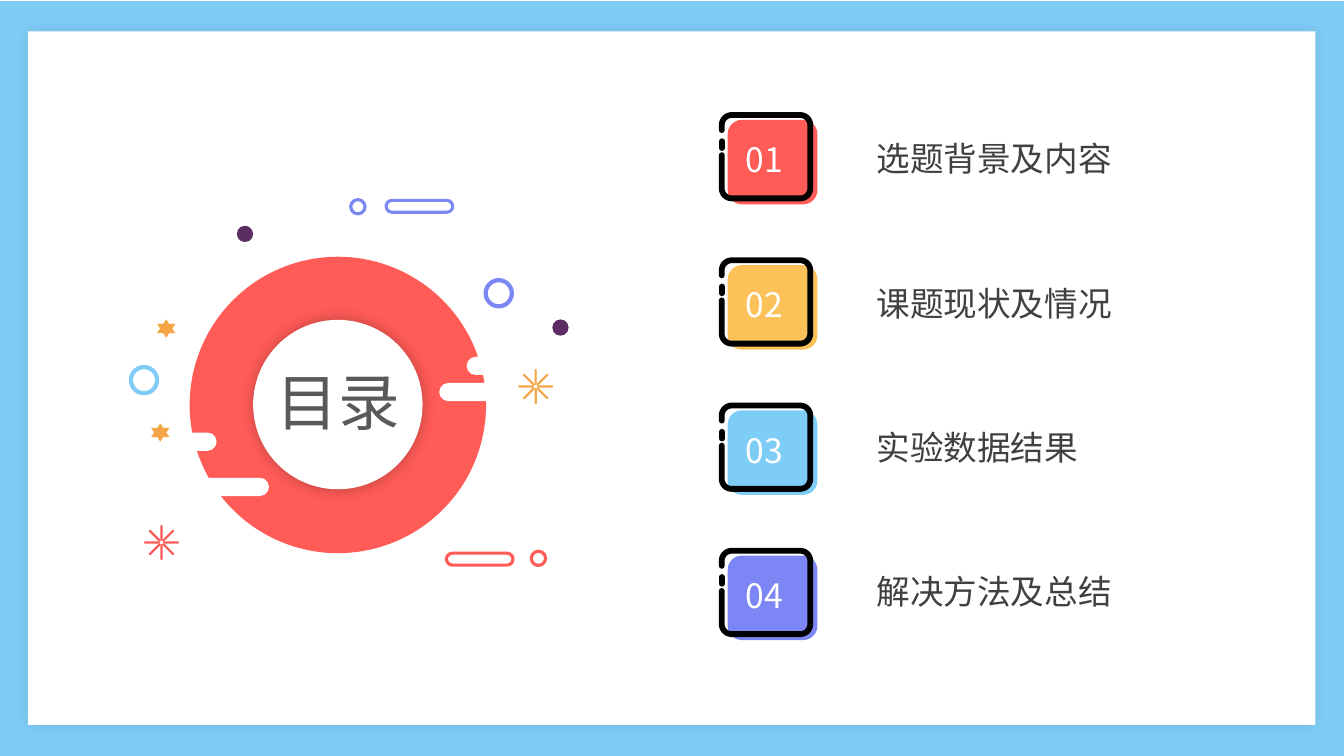
"""Build the contents slide with a ring emblem and four numbered topics."""
import math

import pptx
import pptx.dml.color
import pptx.enum.shapes
import pptx.enum.text
import pptx.oxml
import pptx.oxml.ns
import pptx.util
from lxml import etree

Cm = pptx.util.Cm
Pt = pptx.util.Pt
RGBColor = pptx.dml.color.RGBColor
MSO_SHAPE = pptx.enum.shapes.MSO_SHAPE
PP_ALIGN = pptx.enum.text.PP_ALIGN
qn = pptx.oxml.ns.qn

FONT = "Noto Sans CJK SC"
WHITE = RGBColor(0xFF, 0xFF, 0xFF)
BLACK = RGBColor(0x00, 0x00, 0x00)
SKY = RGBColor(0x7F, 0xCD, 0xF7)
LIGHT_BLUE = RGBColor(0x7E, 0xCD, 0xF7)
RED = RGBColor(0xFF, 0x5B, 0x57)
ORANGE = RGBColor(0xF6, 0xA5, 0x46)
YELLOW = RGBColor(0xFC, 0xC2, 0x59)
VIOLET = RGBColor(0x7B, 0x88, 0xF4)
PERIWINKLE = RGBColor(0x7C, 0x87, 0xF5)
PLUM = RGBColor(0x5C, 0x2D, 0x62)
TITLE_GRAY = RGBColor(0x59, 0x59, 0x59)
LABEL_GRAY = RGBColor(0x40, 0x40, 0x40)


def add_figure(shapes, kind, box, fill=None, line=None, width=0):
    """Add a preset shape; box is left, top, width, height in centimetres."""
    shape = shapes.add_shape(kind, *[Cm(value) for value in box])
    shape.shadow.inherit = False
    if fill is None:
        shape.fill.background()
    else:
        shape.fill.solid()
        shape.fill.fore_color.rgb = fill
    if line is None:
        shape.line.fill.background()
    else:
        shape.line.color.rgb = line
        shape.line.width = Pt(width)
    return shape


def write_text(shape, text, size, color, alignment):
    """Write one run, centred vertically in the shape."""
    frame = shape.text_frame
    frame.word_wrap = True
    frame.auto_size = pptx.enum.text.MSO_AUTO_SIZE.NONE
    frame.vertical_anchor = pptx.enum.text.MSO_ANCHOR.MIDDLE
    paragraph = frame.paragraphs[0]
    paragraph.alignment = alignment
    run = paragraph.add_run()
    run.text = text
    run.font.size = Pt(size)
    run.font.color.rgb = color
    run.font.name = FONT
    etree.SubElement(run._r.get_or_add_rPr(), qn("a:ea"), typeface=FONT)


presentation = pptx.Presentation()
presentation.slide_width = Cm(33.87)
presentation.slide_height = Cm(19.05)
slide = presentation.slides.add_slide(presentation.slide_layouts[5])

add_figure(slide.shapes, MSO_SHAPE.RECTANGLE, (0, 0.03, 33.87, 19.02), SKY)
panel = add_figure(slide.shapes, MSO_SHAPE.RECTANGLE, (0.71, 0.79, 32.44, 17.48), WHITE)

emblem = slide.shapes.add_group_shape().shapes
add_figure(emblem, MSO_SHAPE.OVAL, (4.78, 6.47, 7.47, 7.47), RED)
ring_center = add_figure(emblem, MSO_SHAPE.OVAL, (6.38, 8.06, 4.27, 4.27), WHITE)

for shape, opacity in ((panel, 10), (ring_center, 25)):
    effects = shape._element.spPr.find(qn("a:effectLst"))
    shadow = etree.SubElement(effects, qn("a:outerShdw"), blurRad=str(Pt(10)),
                              dist="0", dir="0", algn="ctr", rotWithShape="0")
    shadow_color = etree.SubElement(shadow, qn("a:srgbClr"), val=str(BLACK))
    etree.SubElement(shadow_color, qn("a:alpha"), val=str(opacity * 1000))

for left, top in ((11.07, 9.65), (11.76, 8.99), (4.62, 12.04), (3.3, 10.9)):
    notch = add_figure(emblem, MSO_SHAPE.ROUNDED_RECTANGLE, (left, top, 2.16, 0.46), WHITE)
    notch.adjustments[0] = 0.5

for left, top, size, color, width in (
        (3.3, 9.25, 0.66, SKY, 3), (12.24, 7.06, 0.66, VIOLET, 3),
        (13.39, 13.89, 0.36, RED, 2.25), (8.84, 5.03, 0.36, VIOLET, 2.25)):
    add_figure(emblem, MSO_SHAPE.OVAL, (left, top, size, size), None, color, width)

for left, top, color in ((11.25, 13.94, RED), (9.73, 5.05, VIOLET)):
    pill = add_figure(emblem, MSO_SHAPE.ROUNDED_RECTANGLE, (left, top, 1.68, 0.3),
                      WHITE, color, 2.25)
    pill.adjustments[0] = 0.5

for left, top in ((3.96, 8.05), (3.81, 10.67)):
    add_figure(emblem, MSO_SHAPE.STAR_6_POINT, (left, top, 0.46, 0.46), ORANGE)

for left, top in ((13.92, 8.05), (5.97, 5.69)):
    add_figure(emblem, MSO_SHAPE.OVAL, (left, top, 0.41, 0.41), PLUM)

for center_x, center_y, color in ((4.07, 13.67, RED), (13.5, 9.74, ORANGE)):
    for angle in range(0, 360, 45):
        ray_x = center_x + 0.24 * math.sin(math.radians(angle))
        ray_y = center_y - 0.24 * math.cos(math.radians(angle))
        ray = add_figure(emblem, MSO_SHAPE.ROUNDED_RECTANGLE,
                         (ray_x - 0.01, ray_y - 0.18, 0.02, 0.36), ORANGE, color, 1)
        ray.adjustments[0] = 0.5
        ray.rotation = angle

title = slide.shapes.title
title.left, title.top, title.width, title.height = Cm(6.4), Cm(9.04), Cm(4.24), Cm(2.13)
write_text(title, "目录", 44, TITLE_GRAY, PP_ALIGN.CENTER)
slide.shapes.element.append(title.element)

FRAME_LEFT, FRAME_RIGHT, CORNER = 18.19, 20.42, 0.25
topics = (("选题背景及内容", RED), ("课题现状及情况", YELLOW),
          ("实验数据结果", LIGHT_BLUE), ("解决方法及总结", PERIWINKLE))
for index, (topic, color) in enumerate(topics):
    offset = index * 3.66
    badge = slide.shapes.add_group_shape().shapes
    add_figure(badge, MSO_SHAPE.ROUNDED_RECTANGLE, (18.34, 3.02 + offset, 2.26, 2.13), color)

    near_x, far_x = FRAME_LEFT + CORNER, FRAME_RIGHT - CORNER
    top_y, bottom_y = 2.9 + CORNER + offset, 5.0 - CORNER + offset
    outline = []
    for corner_x, corner_y, start in ((near_x, bottom_y, 180), (far_x, bottom_y, 90),
                                      (far_x, top_y, 0), (near_x, top_y, -90)):
        for step in range(0, 91, 10):
            angle = math.radians(start - step)
            outline.append((Cm(corner_x + CORNER * math.cos(angle)),
                            Cm(corner_y + CORNER * math.sin(angle))))
    outline.append((Cm(FRAME_LEFT), Cm(3.28 + offset)))
    builder = badge.build_freeform(Cm(FRAME_LEFT), Cm(3.91 + offset))
    builder.add_line_segments(outline, close=False)
    frame_line = builder.convert_to_shape()
    frame_line.shadow.inherit = False
    frame_line.fill.background()
    dash = badge.add_connector(pptx.enum.shapes.MSO_CONNECTOR.STRAIGHT,
                               Cm(FRAME_LEFT), Cm(3.73 + offset),
                               Cm(FRAME_LEFT), Cm(3.56 + offset))
    for stroke in (frame_line, dash):
        stroke.line.color.rgb = BLACK
        stroke.line.width = Pt(4.13)
        stroke.line._get_or_add_ln().set("cap", "rnd")
    etree.SubElement(dash._element.spPr, qn("a:effectLst"))

    number = badge.add_textbox(Cm(18.54), Cm(3.38 + offset), Cm(1.6), Cm(1.27))
    write_text(number, f"{index + 1:02d}", 24, WHITE, PP_ALIGN.JUSTIFY)

    label = slide.shapes.add_textbox(Cm(21.84), Cm(3.35 + index * 3.64), Cm(6.88), Cm(1.27))
    write_text(label, topic, 24, LABEL_GRAY, PP_ALIGN.JUSTIFY)

presentation.save("out.pptx")
